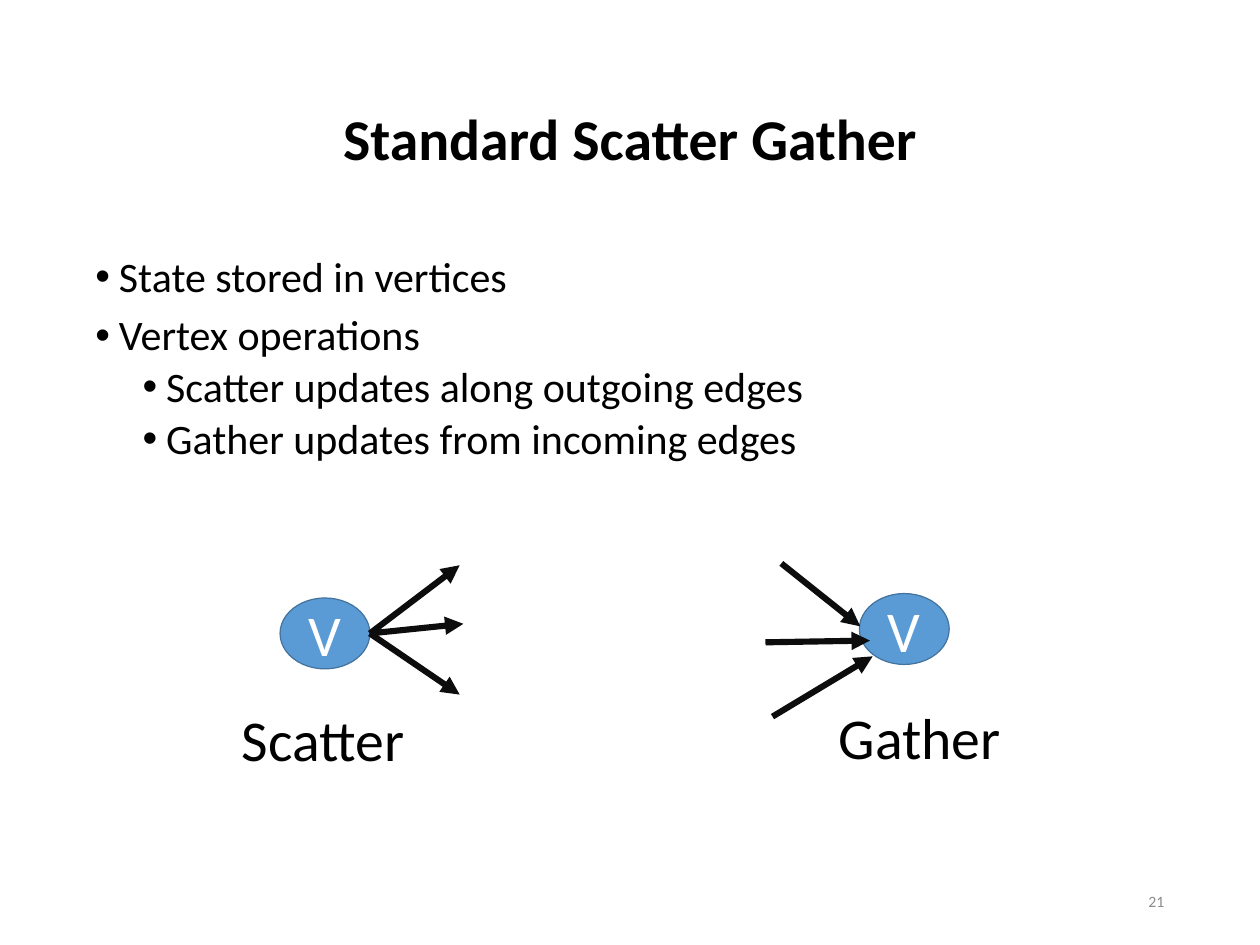
from dataclasses import dataclass

from pptx import Presentation
from pptx.dml.color import RGBColor
from pptx.enum.shapes import MSO_CONNECTOR as Connector, MSO_SHAPE as Shape
from pptx.enum.text import MSO_ANCHOR as Anchor, MSO_AUTO_SIZE as AutoSize, PP_ALIGN as Align
from pptx.oxml.ns import qn
from pptx.util import Pt
from lxml.etree import SubElement


@dataclass(frozen=True)
class Theme:
    font: str = "Calibri"
    text: str = "000000"
    muted: str = "8C8C8C"
    vertex_fill: str = "5B9BD5"
    vertex_line: str = "43739E"
    vertex_text: str = "FFFFFF"
    edge: str = "0D0D0D"
    large: float = 46.9
    body: float = 34.1
    small: float = 12.8
    edge_width: float = 5


THEME = Theme()
BULLET_INDENT = 19.2
LEVEL_STEP = 38.4
VERTEX_SIZE = (73, 57.6)


def style(paragraph, size, color=THEME.text, bold=False, align=Align.LEFT):
    paragraph.alignment = align
    for run in paragraph.runs:
        run.font.name = THEME.font
        run.font.size = Pt(size)
        run.font.bold = bold
        run.font.color.rgb = RGBColor.from_string(color)


def add_text(slide, box, text, anchor=Anchor.TOP, wrap=True):
    text_frame = slide.shapes.add_textbox(*map(Pt, box)).text_frame
    text_frame.word_wrap = wrap
    text_frame.vertical_anchor = anchor
    text_frame.text = text
    return text_frame


def add_title(slide, box, text):
    paragraph = add_text(slide, box, text, Anchor.MIDDLE).paragraphs[0]
    paragraph.line_spacing = 0.9
    style(paragraph, THEME.large, bold=True, align=Align.CENTER)


def add_bullets(slide, box, items):
    text_frame = add_text(slide, box, "\n".join(text for level, text in items))
    for index, (level, text) in enumerate(items):
        paragraph = text_frame.paragraphs[index]
        properties = paragraph._p.get_or_add_pPr()
        properties.set("marL", str(Pt(BULLET_INDENT + level * LEVEL_STEP)))
        properties.set("indent", str(Pt(-BULLET_INDENT)))
        SubElement(properties, qn("a:buFont")).set("typeface", "Arial")
        SubElement(properties, qn("a:buChar")).set("char", "•")
        paragraph.level = level
        paragraph.line_spacing = 0.9
        if index:
            paragraph.space_before = Pt(5.3 if level else 10.7)
        style(paragraph, THEME.body)


def add_page_number(slide, box, number):
    text_frame = add_text(slide, box, number, Anchor.MIDDLE)
    style(text_frame.paragraphs[0], THEME.small, THEME.muted, align=Align.RIGHT)


def add_edge(slide, start, end):
    edge = slide.shapes.add_connector(Connector.STRAIGHT, *map(Pt, (*start, *end)))
    edge.line.color.rgb = RGBColor.from_string(THEME.edge)
    edge.line.width = Pt(THEME.edge_width)
    SubElement(edge.line._get_or_add_ln(), qn("a:tailEnd")).set("type", "triangle")
    SubElement(edge._element.spPr, qn("a:effectLst"))


def add_vertex_diagram(slide, box, edges, label, label_box):
    """Edges and the label are placed from the vertex's top left corner."""
    left, top, width, height = box

    # Vertex
    vertex = slide.shapes.add_shape(Shape.OVAL, *map(Pt, box))
    vertex.shadow.inherit = False
    vertex.fill.solid()
    vertex.fill.fore_color.rgb = RGBColor.from_string(THEME.vertex_fill)
    vertex.line.color.rgb = RGBColor.from_string(THEME.vertex_line)
    vertex.line.width = Pt(1)
    vertex.text_frame.text = "V"
    vertex.text_frame.vertical_anchor = Anchor.MIDDLE
    style(vertex.text_frame.paragraphs[0], THEME.large, THEME.vertex_text, align=Align.CENTER)

    # Edges
    for start, end in edges:
        add_edge(slide, *((left + x, top + y) for x, y in (start, end)))

    # Label
    x, y, label_width, label_height = label_box
    text_frame = add_text(slide, (left + x, top + y, label_width, label_height), label, wrap=False)
    text_frame.auto_size = AutoSize.SHAPE_TO_FIT_TEXT
    style(text_frame.paragraphs[0], THEME.large)


def main():
    presentation = Presentation()
    presentation.slide_width, presentation.slide_height = Pt(1024), Pt(768)
    slide = presentation.slides.add_slide(presentation.slide_layouts[6])

    add_title(slide, (70.4, 41, 883.2, 148.4), "Standard Scatter Gather")
    add_bullets(slide, (70.4, 204.5, 883.2, 487.4), [
        (0, "State stored in vertices"),
        (0, "Vertex operations"),
        (1, "Scatter updates along outgoing edges"),
        (1, "Gather updates from incoming edges"),
    ])
    add_page_number(slide, (723, 712, 230.4, 41), "21")

    # Scatter: every edge leaves the middle of the right side
    width, height = VERTEX_SIZE
    outgoing = [((width, height / 2), end) for end in ((146, 78.5), (149, 21), (146, -26.6))]
    add_vertex_diagram(slide, (227.6, 486, width, height), outgoing,
                       "Scatter", (-38, 82.8, 149, 64))

    # Gather: edges come in from the left
    incoming = [((-70.6, 100), (10.8, 51)), ((-76.3, 39.6), (8.6, 38.2)), ((-63.4, -24.5), (0.7, 26.6))]
    add_vertex_diagram(slide, (698.4, 482.4, width, height), incoming,
                       "Gather", (-23.8, 84.2, 147.6, 64))

    presentation.save("out.pptx")


if __name__ == "__main__":
    main()
